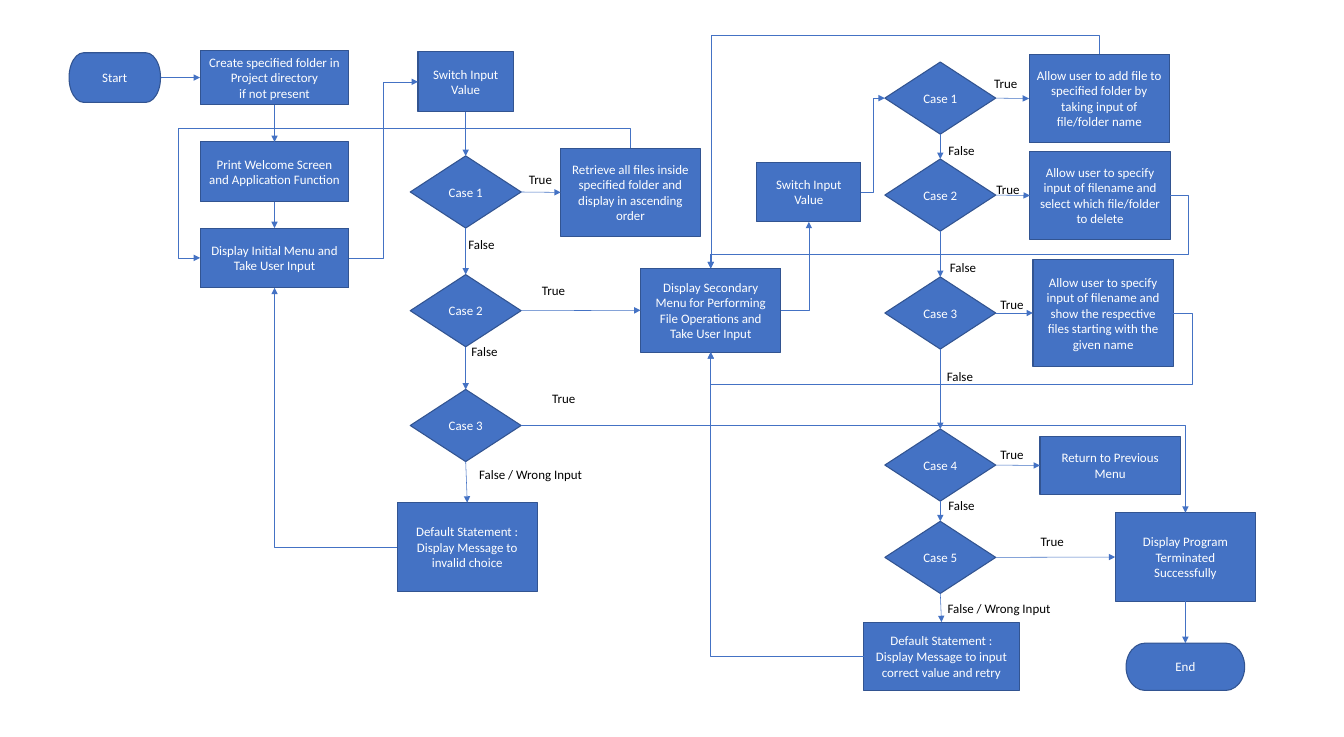
from lxml import etree
from pptx import Presentation
from pptx import util as u
from pptx.dml.color import RGBColor
from pptx.enum import shapes, text
from pptx.oxml.ns import qn

BLUE, EDGE, WHITE, BLACK = "4472C4", "325491", "FFFFFF", "000000"
TOP, LEFT, BOTTOM, RIGHT = range(4)  # connection sites


def paint(color_format, value):
    color_format.rgb = RGBColor.from_string(value)


def write(frame, words, color, align, **settings):
    for name, value in settings.items():
        setattr(frame, name, value)
    frame.text = words
    for paragraph in frame.paragraphs:
        paragraph.alignment = align
        font = paragraph.runs[0].font
        for name, value in {"name": "Calibri", "size": u.Pt(12)}.items():
            setattr(font, name, value)
        paint(font.color, color)


deck = Presentation()
deck.slide_width, deck.slide_height = u.Inches(17.33), u.Inches(9.5)
slide = deck.slides.add_slide(deck.slide_layouts[6])

# Steps: key -> preset, left, top, width, height, wording
kind = shapes.MSO_SHAPE
rect, process = kind.RECTANGLE, kind.FLOWCHART_PROCESS
terminator, decision = kind.FLOWCHART_TERMINATOR, kind.FLOWCHART_DECISION
steps = {
    "start": (terminator, 0.89, 0.68, 1.18, 0.64, "Start"),
    "folder": (rect, 2.58, 0.65, 1.92, 0.7,
               "Create specified folder in Project directory\nif not present"),
    "welcome": (rect, 2.58, 1.83, 1.92, 0.77,
                "Print Welcome Screen and Application Function"),
    "menu": (rect, 2.58, 2.94, 1.92, 0.77, "Display Initial Menu and Take User Input"),
    "switch": (rect, 5.39, 0.67, 1.23, 0.77, "Switch Input\nValue"),
    "retrieve": (process, 7.23, 1.91, 1.8, 1.14,
                 "Retrieve all files inside specified folder and display in ascending order"),
    "invalid": (process, 5.12, 6.48, 1.81, 1.14,
                "Default Statement : Display Message to invalid choice"),
    "submenu": (process, 8.26, 3.46, 1.81, 1.08,
                "Display Secondary Menu for Performing File Operations and Take User Input"),
    "subswitch": (rect, 9.76, 2.09, 1.34, 0.77, "Switch Input\nValue"),
    "add": (process, 13.27, 0.7, 1.81, 1.14,
            "Allow user to add file to specified folder by taking input of file/folder name"),
    "delete": (process, 13.28, 1.95, 1.81, 1.14,
               "Allow user to specify input of filename and select which file/folder to delete"),
    "show": (process, 13.32, 3.35, 1.81, 1.37,
             "Allow user to specify input of filename and show the respective files "
             "starting with the given name"),
    "return": (process, 13.41, 5.63, 1.81, 0.74, "Return to Previous Menu"),
    "retry": (process, 11.14, 8.02, 2, 0.88,
              "Default Statement : Display Message to input correct value and retry"),
    "finish": (process, 14.38, 6.61, 1.81, 1.14, "Display Program Terminated Successfully"),
    "end": (terminator, 14.52, 8.29, 1.53, 0.61, "End"),
}

# Decisions: one column of cases for each menu
for menu, left, tops in [("main", 5.29, (2.01, 3.54, 5.02)),
                         ("sub", 11.41, (0.8, 2.05, 3.57, 5.53, 6.72))]:
    for number, top in enumerate(tops, 1):
        steps[f"{menu}{number}"] = (decision, left, top, 1.43, 0.93, f"Case {number}")

nodes = {}
for key, (preset, *box, words) in steps.items():
    node = nodes[key] = slide.shapes.add_shape(preset, *map(u.Inches, box))
    node.shadow.inherit = False
    node.fill.solid()
    paint(node.fill.fore_color, BLUE)
    paint(node.line.color, EDGE)
    node.line.width = u.Pt(1)
    write(node.text_frame, words, WHITE, text.PP_ALIGN.CENTER,
          word_wrap=True, vertical_anchor=text.MSO_ANCHOR.MIDDLE)

# Arrows: straight ones down and to the right
down = ["folder welcome menu", "switch main1 main2 main3 invalid",
        "sub1 sub2 sub3 sub4 sub5 retry", "finish end"]
across = ["start folder", "main1 retrieve", "main2 submenu", "sub1 add",
          "sub2 delete", "sub3 show", "sub4 return", "sub5 finish"]
flows = []
for chains, leave, enter in [(down, BOTTOM, TOP), (across, RIGHT, LEFT)]:
    for chain in map(str.split, chains):
        flows += [(a, leave, b, enter, "line", ()) for a, b in zip(chain, chain[1:])]

# Arrows: bent ones, with the places of their bends as shares of the span
flows += [
    ("menu", RIGHT, "switch", LEFT, "bentConnector3", (0.5,)),
    ("subswitch", RIGHT, "sub1", LEFT, "bentConnector3", (0.5,)),
    ("invalid", LEFT, "menu", BOTTOM, "bentConnector2", ()),
    ("retry", LEFT, "submenu", BOTTOM, "bentConnector2", ()),
    ("main3", RIGHT, "finish", TOP, "bentConnector2", ()),
    ("submenu", RIGHT, "subswitch", BOTTOM, "bentConnector2", ()),
    ("retrieve", TOP, "menu", LEFT, "bentConnector4", (-0.18, 1.05)),
    ("show", RIGHT, "submenu", BOTTOM, "bentConnector4", (-0.04, 1.83)),
    ("delete", RIGHT, "submenu", TOP, "bentConnector4", (-0.04, 0.8)),
    ("add", TOP, "submenu", TOP, "bentConnector3", (-0.09,)),
]
for source, leave, target, enter, preset, bends in flows:
    style = shapes.MSO_CONNECTOR.STRAIGHT if preset == "line" else shapes.MSO_CONNECTOR.ELBOW
    arrow = slide.shapes.add_connector(style, 0, 0, 0, 0)
    arrow.begin_connect(nodes[source], leave)
    arrow.end_connect(nodes[target], enter)
    paint(arrow.line.color, BLUE)
    arrow.line.width = u.Pt(0.5)
    properties = arrow.element.spPr
    etree.SubElement(properties.find(qn("a:ln")), qn("a:tailEnd"), type="triangle")
    etree.SubElement(properties, qn("a:effectLst"))

    geometry = properties.find(qn("a:prstGeom"))
    geometry.set("prst", preset)
    guides = geometry.find(qn("a:avLst"))
    for index, share in enumerate(bends, 1):
        etree.SubElement(guides, qn("a:gd"), name=f"adj{index}",
                         fmla=f"val {round(share * 100000)}")

    # A path that leaves upward is a quarter turn of one that leaves sideways
    if leave == TOP:
        turn = properties.find(qn("a:xfrm"))
        turn.attrib.clear()
        turn.set("rot", "5400000")
        wide, high = arrow.width, arrow.height
        arrow.left += (wide - high) // 2
        arrow.top += (high - wide) // 2
        arrow.width, arrow.height = high, wide

# Branch labels: wording -> width and places
labels = {
    "True": (0.5, [(6.72, 2.16), (6.89, 3.6), (7.02, 4.99), (12.72, 0.93), (12.75, 2.29),
                   (12.8, 3.78), (12.8, 5.71), (13.32, 6.83)]),
    "False": (0.54, [(5.94, 3), (5.98, 4.38), (12.13, 1.79), (12.15, 3.3),
                     (12.11, 4.7), (12.13, 6.36)]),
    "False / Wrong Input": (1.54, [(6.08, 5.96), (12.12, 7.69)]),
}
for words, (width, places) in labels.items():
    for left, top in places:
        label = slide.shapes.add_textbox(*map(u.Inches, (left, top, width, 0.3)))
        write(label.text_frame, words, BLACK, text.PP_ALIGN.LEFT,
              word_wrap=False, auto_size=text.MSO_AUTO_SIZE.SHAPE_TO_FIT_TEXT)

deck.save("out.pptx")
